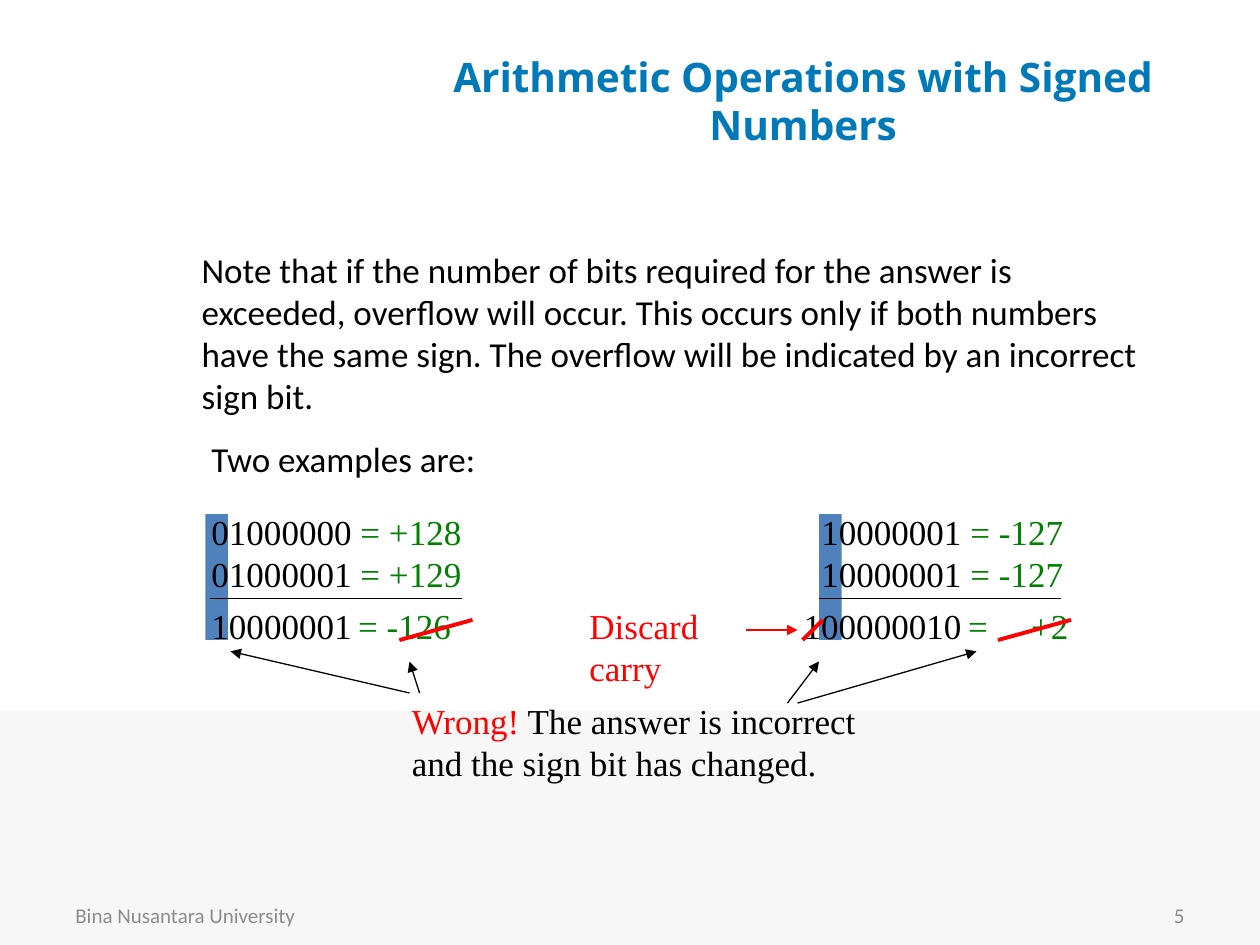
from pptx import Presentation
from pptx.dml.color import RGBColor
from pptx.enum.shapes import MSO_CONNECTOR as Connector, MSO_SHAPE as Shape
from pptx.enum.text import MSO_ANCHOR as Anchor, MSO_AUTO_SIZE as AutoSize, PP_ALIGN as Align
from pptx.oxml.ns import qn
from pptx.util import Inches, Pt
from lxml.etree import SubElement

BLACK = RGBColor(0x00, 0x00, 0x00)
RED = RGBColor(0xFF, 0x00, 0x00)
GREEN = RGBColor(0x00, 0x80, 0x00)
BLUE = RGBColor(0x4F, 0x81, 0xBD)
TITLE_BLUE = RGBColor(0x00, 0x79, 0xB8)
GRAY = RGBColor(0x8C, 0x8C, 0x8C)
PALE = RGBColor(0xF7, 0xF7, 0xF7)
SERIF = "Times New Roman"
SANS = "Calibri"


def place(shape, left, top, width, height):
    shape.left, shape.top = Inches(left), Inches(top)
    shape.width, shape.height = Inches(width), Inches(height)


def write(shape, lines, font=SERIF, size=20, bold=False, align=Align.LEFT,
          anchor=Anchor.TOP, tab=None):
    frame = shape.text_frame
    frame.word_wrap = True
    frame.auto_size = AutoSize.NONE
    frame.vertical_anchor = anchor
    for index, line in enumerate(lines):
        para = frame.add_paragraph() if index else frame.paragraphs[0]
        para.alignment = align
        para.space_before = Pt(0)
        properties = para._p.get_or_add_pPr()
        properties.set("marL", "0")
        properties.set("indent", "0")
        SubElement(properties, qn("a:buNone"))
        if tab:
            stops = SubElement(properties, qn("a:tabLst"))
            SubElement(stops, qn("a:tab"), pos=str(Inches(tab)), algn="l")
        for text, color in line:
            span = para.add_run()
            span.text = text
            span.font.name, span.font.size = font, Pt(size)
            span.font.bold = bold
            span.font.color.rgb = color


def add_text(page, box, lines, **style):
    shape = page.shapes.add_textbox(*map(Inches, box))
    write(shape, lines, **style)


def add_bar(page, box, color):
    bar = page.shapes.add_shape(Shape.RECTANGLE, *map(Inches, box))
    bar.shadow.inherit = False
    bar.fill.solid()
    bar.fill.fore_color.rgb = color
    bar.line.fill.background()


def add_line(page, start, end, color=BLACK, width=0.75, arrow=False):
    line = page.shapes.add_connector(Connector.STRAIGHT, *map(Inches, start + end))
    line.line.color.rgb = color
    line.line.width = Pt(width)
    if arrow:
        SubElement(line.line._get_or_add_ln(), qn("a:tailEnd"), type="triangle")
    SubElement(line._element.spPr, qn("a:effectLst"))


def add_strike(page, left, width):
    add_line(page, (left, 5.08), (left + width, 4.92), RED, 2.25)


def add_heading(page, box):
    title = page.shapes.title
    place(title, *box)
    write(title, [[("Arithmetic Operations with Signed Numbers", TITLE_BLUE)]],
          font="Open Sans", size=23.2, bold=True, align=Align.CENTER, anchor=Anchor.MIDDLE)


def add_note(page, box):
    left, top, width, height = box
    body = page.placeholders[1]
    place(body, *box)
    note = ("Note that if the number of bits required for the answer is exceeded, "
            "overflow will occur. This occurs only if both numbers have the same sign. "
            "The overflow will be indicated by an incorrect sign bit.")
    write(body, [[(note, BLACK)]], font=SANS)
    add_text(page, (left + 0.08, top + 1.5, 4.67, 0.44),
             [[("Two examples are:", BLACK)]], font=SANS)


def add_example(page, box, addends, total, answer, bar_left, rule, total_left,
                strike_left, tab=None):
    left, top, width, height = box
    answer_top = top + 0.75
    add_bar(page, (bar_left, top + 0.08, 0.18, 1), BLUE)
    add_text(page, box, [[(bits + " ", BLACK), (value, GREEN)] for bits, value in addends])
    add_line(page, (rule[0], answer_top), (rule[1], answer_top))
    add_text(page, (total_left, answer_top, 1.75, 0.43), [[(total, BLACK)]])
    add_text(page, (left + 1.165, answer_top, 1.17, 0.43), [[(answer, GREEN)]], tab=tab)
    add_strike(page, strike_left, 0.58)


def add_carry(page, box):
    add_text(page, box, [[("Discard carry", RED)]])
    add_line(page, (5.92, 5), (6.33, 5), RED, arrow=True)
    add_strike(page, 6.37, 0.16)


def add_verdict(page, box):
    add_text(page, box, [[("Wrong!", RED),
                          (" The answer is incorrect and the sign bit has changed.", BLACK)]])
    arrows = [((3.33, 5.5), (3.25, 5.25)), ((3.25, 5.5), (1.83, 5.17)),
              ((6.25, 5.58), (6.5, 5.25)), ((6.33, 5.58), (7.75, 5.17))]
    for start, end in arrows:
        add_line(page, start, end, arrow=True)


def add_footer(page, box):
    left, top, width, height = box
    add_bar(page, box, PALE)
    parts = [(0.5, "Bina Nusantara University", Align.LEFT), (7.17, "5", Align.RIGHT)]
    for offset, text, align in parts:
        add_text(page, (left + offset, top + 1.42, 2.33, 0.4), [[(text, GRAY)]],
                 font=SANS, size=12, align=align, anchor=Anchor.MIDDLE)


def main():
    deck = Presentation()
    deck.slide_width, deck.slide_height = Inches(10), Inches(7.5)
    page = deck.slides.add_slide(deck.slide_layouts[1])
    add_footer(page, (0, 5.64, 10, 1.86))
    add_heading(page, (2.75, 0.42, 7.25, 0.75))
    add_note(page, (1.5, 1.92, 7.83, 1.45))
    add_example(page, (1.58, 4, 2.67, 0.77),
                [("01000000", "= +128"), ("01000001", "= +129")], "10000001", "= -126",
                bar_left=1.63, rule=(1.67, 3.67), total_left=1.58, strike_left=3.17)
    add_example(page, (6.42, 4, 2.67, 0.77),
                [("10000001", "= -127")] * 2, "100000010", "=\t+2",
                bar_left=6.5, rule=(6.5, 8.42), total_left=6.28, strike_left=7.92, tab=0.37)
    add_carry(page, (4.58, 4.75, 1.67, 0.77))
    add_verdict(page, (3.17, 5.5, 3.75, 0.77))
    deck.save("out.pptx")


if __name__ == "__main__":
    main()
